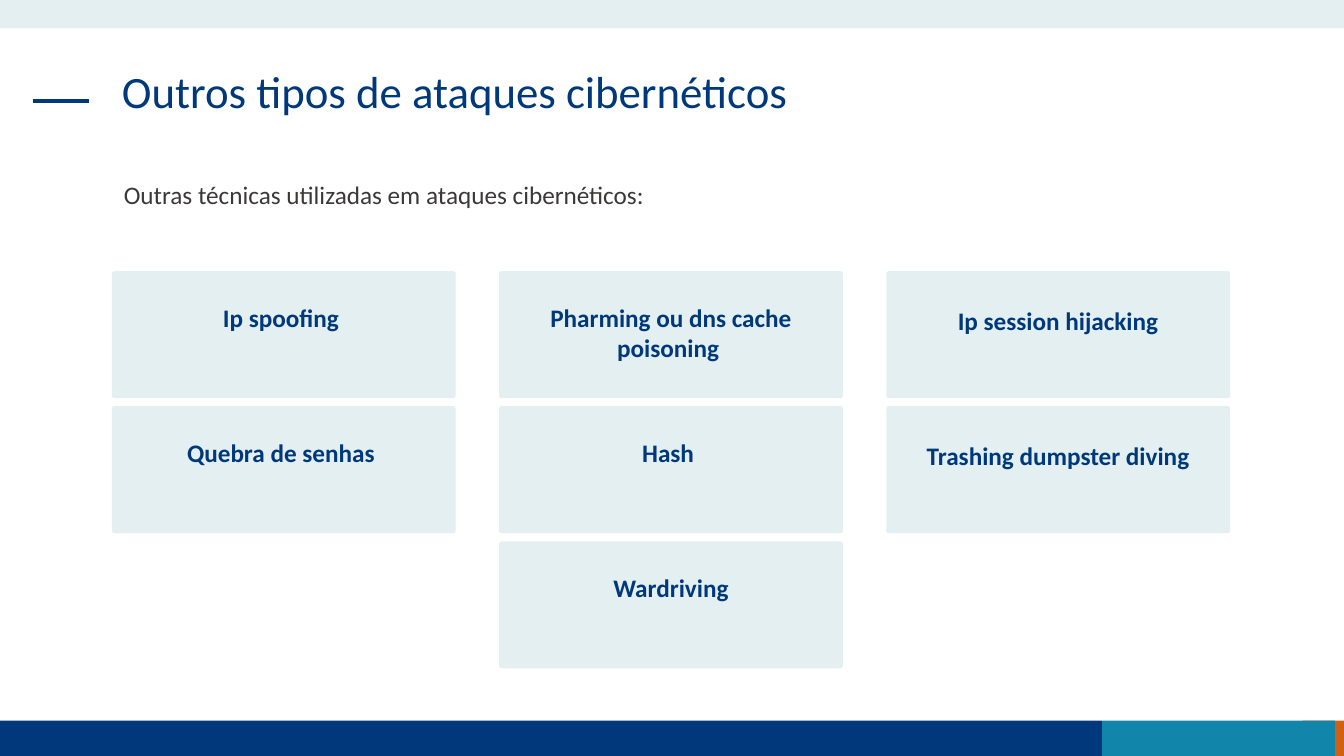
import pptx
import pptx.util
import pptx.dml.color
import pptx.enum.shapes
import pptx.enum.text
import pptx.oxml
import pptx.oxml.ns
from pptx.util import Inches

FONT = "Calibri"
COLORS = {
    "navy": "00397B",
    "teal": "1185AA",
    "orange": "D06110",
    "pale": "E3EFF1",
    "gray": "3B3838",
}

# Card grid
CARD_LEFT, CARD_TOP = 1.11, 2.69
CARD_WIDTH, CARD_HEIGHT = 3.41, 1.26
COLUMN_STEP, ROW_STEP = 3.84, 1.34
LABEL_WIDTH = 2.96
LABEL_OFFSETS = [0.26, 0.26, 0.29]  # label drop below the card top, per column
CARDS = [  # row, column, label
    (0, 0, "Ip spoofing "),
    (0, 1, "Pharming ou dns cache poisoning "),
    (0, 2, "Ip session hijacking"),
    (1, 0, "Quebra de senhas "),
    (1, 1, "Hash "),
    (1, 2, "Trashing dumpster diving"),
    (2, 1, "Wardriving"),
]


def color(name):
    return pptx.dml.color.RGBColor.from_string(COLORS[name])


def add_block(slide, kind, left, top, width, height, fill):
    shape = slide.shapes.add_shape(
        kind, Inches(left), Inches(top), Inches(width), Inches(height))
    shape.shadow.inherit = False
    shape.fill.solid()
    shape.fill.fore_color.rgb = color(fill)
    shape.line.fill.background()
    return shape


def write_text(shape, text, size, color_name, bold=False, align="LEFT"):
    frame = shape.text_frame
    frame.word_wrap = True
    frame.vertical_anchor = pptx.enum.text.MSO_ANCHOR.TOP
    paragraph = frame.paragraphs[0]
    paragraph.alignment = getattr(pptx.enum.text.PP_ALIGN, align)
    run = paragraph.add_run()
    run.text = text
    run.font.name = FONT
    run.font.size = pptx.util.Pt(size)
    run.font.bold = bold
    run.font.color.rgb = color(color_name)
    return paragraph


def add_label(slide, left, top, width, height, text, color_name, **style):
    box = slide.shapes.add_textbox(
        Inches(left), Inches(top), Inches(width), Inches(height))
    write_text(box, text, 18, color_name, **style)
    box.text_frame.auto_size = pptx.enum.text.MSO_AUTO_SIZE.SHAPE_TO_FIT_TEXT


def add_title(slide, text):
    title = slide.shapes.title
    title.left, title.top = Inches(1.11), Inches(0.64)
    title.width, title.height = Inches(11.1), Inches(0.94)
    title.text_frame.auto_size = pptx.enum.text.MSO_AUTO_SIZE.NONE
    paragraph = write_text(title, text, 32, "navy")
    paragraph.line_spacing = 0.9


def add_dash(slide):
    dash = slide.shapes.add_connector(
        pptx.enum.shapes.MSO_CONNECTOR.STRAIGHT,
        Inches(0.33), Inches(1), Inches(0.88), Inches(1))
    dash.line.color.rgb = color("navy")
    dash.line.width = pptx.util.Pt(3)
    properties = dash.element.find(pptx.oxml.ns.qn("p:spPr"))
    properties.append(pptx.oxml.parse_xml(
        f'<a:effectLst {pptx.oxml.ns.nsdecls("a")}/>'))


def add_card(slide, row, column, text):
    left = CARD_LEFT + column * COLUMN_STEP
    top = CARD_TOP + row * ROW_STEP
    card = add_block(
        slide, pptx.enum.shapes.MSO_SHAPE.ROUNDED_RECTANGLE,
        left, top, CARD_WIDTH, CARD_HEIGHT, "pale")
    card.adjustments[0] = 0.02
    add_label(
        slide, left + (CARD_WIDTH - LABEL_WIDTH) / 2,
        top + LABEL_OFFSETS[column], LABEL_WIDTH, 0.4,
        text, "navy", bold=True, align="CENTER")


def main():
    presentation = pptx.Presentation()
    presentation.slide_width = Inches(13.33)
    presentation.slide_height = Inches(7.5)
    slide = presentation.slides.add_slide(presentation.slide_layouts[5])

    # Footer and header bands
    rectangle = pptx.enum.shapes.MSO_SHAPE.RECTANGLE
    for left, top, width, height, fill in [
        (12.92, 7.15, 0.41, 0.35, "orange"),
        (0, 7.15, 10.93, 0.35, "navy"),
        (10.93, 7.15, 2.31, 0.35, "teal"),
        (0, 0, 13.33, 0.28, "pale"),
    ]:
        add_block(slide, rectangle, left, top, width, height, fill)

    # Heading and introduction
    add_dash(slide)
    add_title(slide, "Outros tipos de ataques cibernéticos")
    add_label(slide, 1.13, 1.73, 6.67, 0.4,
              "Outras técnicas utilizadas em ataques cibernéticos:", "gray")

    # Attack cards
    for row, column, text in CARDS:
        add_card(slide, row, column, text)

    presentation.save("out.pptx")


if __name__ == "__main__":
    main()
